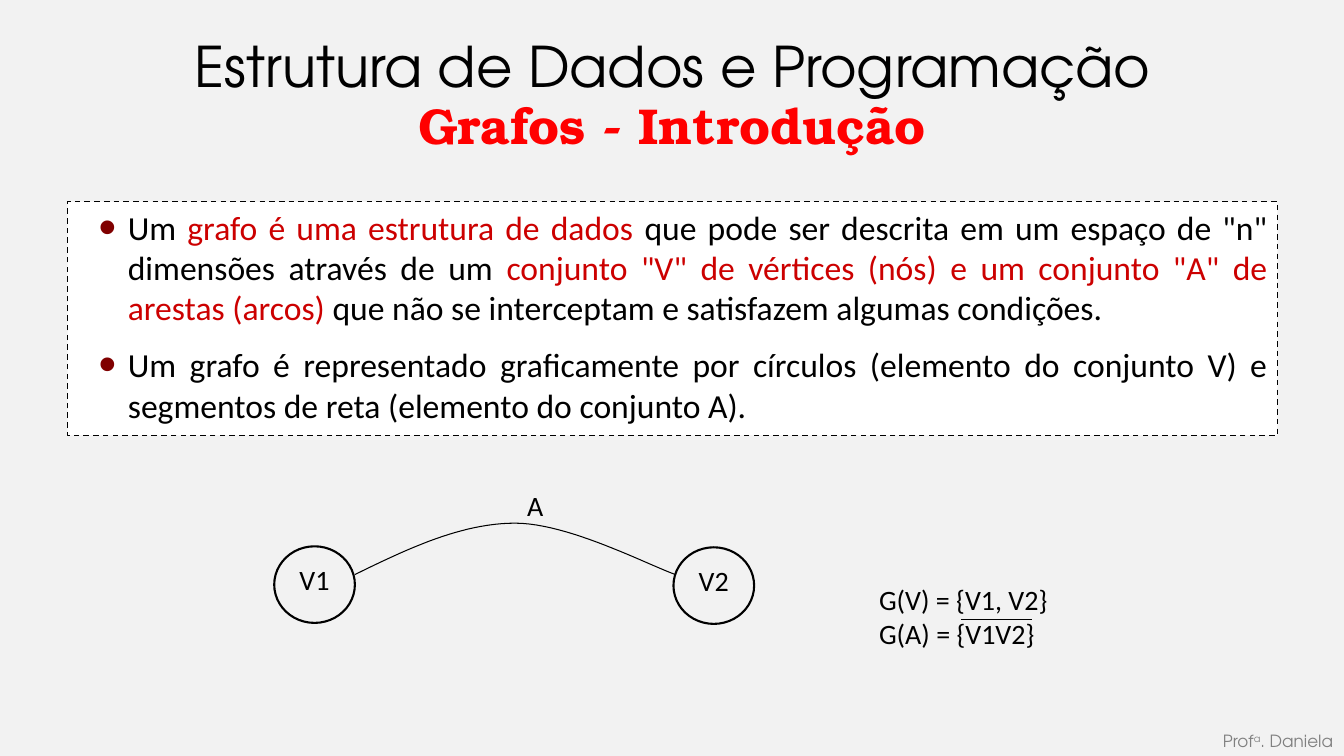
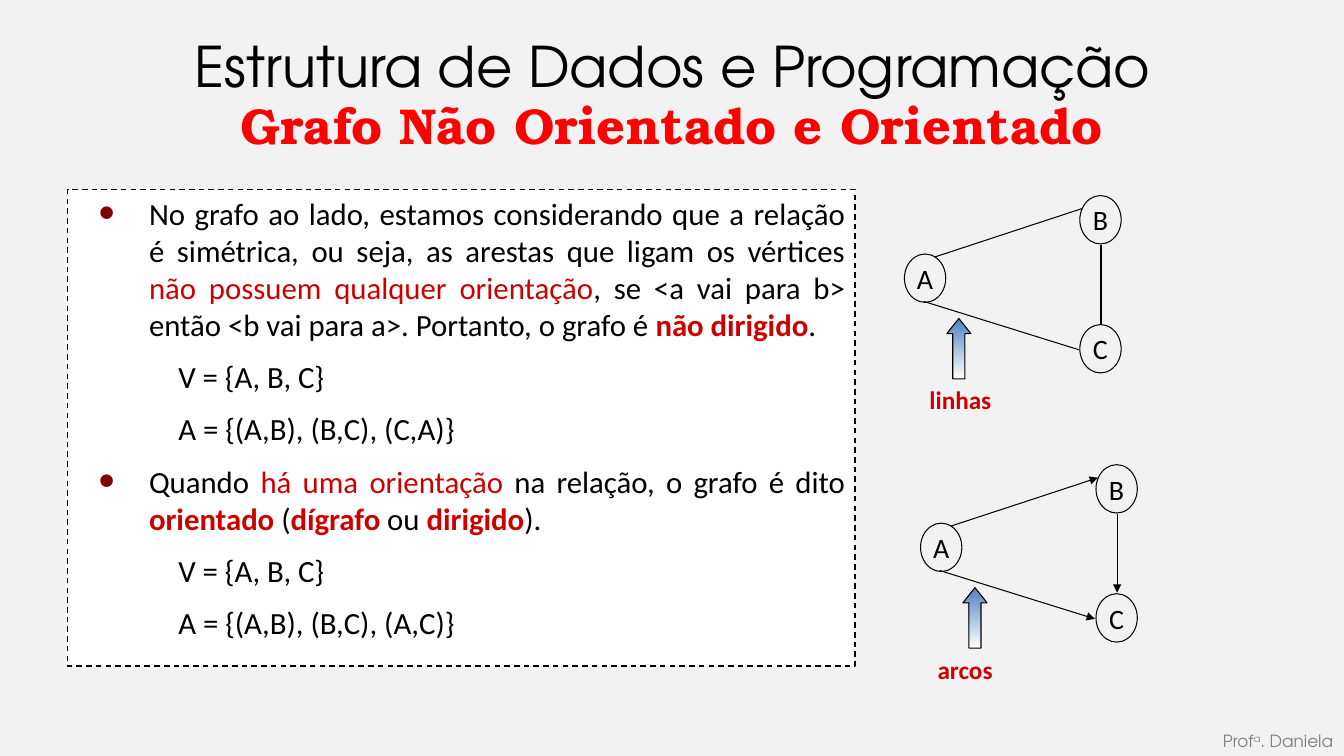
import pptx
import pptx.util
import pptx.dml.color
import pptx.enum.dml
import pptx.enum.shapes
import pptx.enum.text
import pptx.oxml
import pptx.oxml.ns
import lxml.etree

Inches, Pt = pptx.util.Inches, pptx.util.Pt
SHAPE = pptx.enum.shapes.MSO_SHAPE
ALIGN = pptx.enum.text.PP_ALIGN
ANCHOR = pptx.enum.text.MSO_ANCHOR

COLORS = {
    "black": "000000", "white": "FFFFFF", "back": "F2F2F2", "red": "FF0000",
    "accent": "CC0000", "bullet": "800000", "grey": "808080", "arrow": "4F81BD",
}
FONTS = {"body": "Calibri", "title": "TeX Gyre Adventor", "subtitle": "TeX Gyre Bonum"}

# Run formats, named after their role
BODY = {"name": FONTS["body"], "size": Pt(20), "color": "black"}
FORMATS = {
    "body": BODY,
    "accent": {**BODY, "color": "accent"},
    "strong": {**BODY, "color": "accent", "bold": True},
    "title": {"name": FONTS["title"], "size": Pt(40), "color": "black"},
    "subtitle": {"name": FONTS["subtitle"], "size": Pt(36), "color": "red", "bold": True},
    "footer": {"name": FONTS["title"], "size": Pt(12), "color": "grey"},
}
FORMATS["raised"] = {**FORMATS["footer"], "baseline": "30000"}


def rgb(name):
    """Return the named colour."""
    return pptx.dml.color.RGBColor.from_string(COLORS[name])


def add_xml(parent, tag, **attrs):
    """Append a drawing element with the given attributes."""
    el = lxml.etree.SubElement(parent, pptx.oxml.ns.qn(tag))
    for key, value in attrs.items():
        el.set(key, str(value))
    return el


class Deck:
    """Holds the presentation, its style and the current slide."""

    def __init__(self):
        """Start a wide presentation with a plain background."""
        self.prs = pptx.Presentation()
        self.prs.slide_width, self.prs.slide_height = Inches(13.33), Inches(7.5)
        fill = self.prs.slide_master.background.fill
        fill.solid()
        fill.fore_color.rgb = rgb("back")
        self.slide = None

    def new_slide(self, subtitle):
        """Add a slide with the shared title, its subtitle and the footer."""
        self.slide = self.prs.slides.add_slide(self.prs.slide_layouts[6])
        heading = {"align": ALIGN.CENTER, "anchor": ANCHOR.MIDDLE}
        self.text((0.67, 0.02, 12, 1.25),
                  [[("Estrutura de Dados e Programação", "title")]], **heading)
        self.text((0.26, 0.92, 12.81, 0.63), [[(subtitle, "subtitle")]], **heading)
        self.text((9.75, 7.2, 3.57, 0.3),
                  [[("Prof", "footer"), ("a", "raised"), (". Daniela", "footer")]],
                  align=ALIGN.RIGHT)

    def runs(self, p, runs, size=None):
        """Fill a paragraph with (text, format name) runs."""
        for text, kind in runs:
            r = p.add_run()
            r.text = text
            for key, value in FORMATS[kind].items():
                if key == "color":
                    r.font.color.rgb = rgb(value)
                elif key == "baseline":
                    r._r.get_or_add_rPr().set(key, value)
                else:
                    setattr(r.font, key, value)
            if size:
                r.font.size = Pt(size)

    def paragraphs(self, sp, rows, align=ALIGN.LEFT, anchor=ANCHOR.TOP, wrap=True, size=None):
        """Put one paragraph per row of runs into a shape and return them."""
        tf = sp.text_frame
        tf.word_wrap, tf.vertical_anchor = wrap, anchor
        for i, runs in enumerate(rows):
            p = tf.paragraphs[0] if i == 0 else tf.add_paragraph()
            p.alignment = align
            self.runs(p, runs, size)
        return tf.paragraphs

    def text(self, box, rows, **layout):
        """Add a text box."""
        sp = self.slide.shapes.add_textbox(*map(Inches, box))
        self.paragraphs(sp, rows, **layout)

    def outline(self, sp, weight=0.75):
        """Give a shape a black line and no shadow."""
        sp.shadow.inherit = False
        sp.line.color.rgb = rgb("black")
        sp.line.width = Pt(weight)

    def shape(self, kind, box, weight=0.75):
        """Add an outlined, unfilled preset shape."""
        sp = self.slide.shapes.add_shape(kind, *map(Inches, box))
        sp.fill.background()
        self.outline(sp, weight)
        return sp

    def panel(self, box, items, size, hang):
        """Add a dashed white box of (level, runs) items, bulleted at level 1."""
        sp = self.shape(SHAPE.RECTANGLE, box, 1)
        sp.fill.solid()
        sp.fill.fore_color.rgb = rgb("white")
        sp.line.dash_style = pptx.enum.dml.MSO_LINE.DASH
        rows = self.paragraphs(sp, [runs for _, runs in items], ALIGN.JUSTIFY, size=size)
        for i, (p, (level, _)) in enumerate(zip(rows, items)):
            if i:
                p.space_before = Pt(size / 2)
            pPr = p._p.get_or_add_pPr()
            left, indent = (0.21 + hang, -hang) if level == 1 else (1, 0)
            pPr.set("marL", str(Inches(left)))
            pPr.set("indent", str(Inches(indent)))
            if level == 1:
                add_xml(add_xml(pPr, "a:buClr"), "a:srgbClr", val=COLORS["bullet"])
                add_xml(pPr, "a:buSzPct", val=150000)
                add_xml(pPr, "a:buFont", typeface="Arial")
                add_xml(pPr, "a:buChar", char="•")

    def node(self, label, box, weight=0.75, **layout):
        """Add a labelled vertex."""
        sp = self.shape(SHAPE.OVAL, box, weight)
        self.paragraphs(sp, [[(label, "body")]], ALIGN.CENTER, **layout)

    def line(self, start, end, arrow=False):
        """Add a straight line, with an arrowhead at its end if asked."""
        sp = self.slide.shapes.add_connector(
            pptx.enum.shapes.MSO_CONNECTOR.STRAIGHT, *map(Inches, start + end))
        sp.line.color.rgb = rgb("black")
        sp.line.width = Pt(0.75)
        if arrow:
            add_xml(sp.line._get_or_add_ln(), "a:tailEnd", type="triangle")
        add_xml(sp._element.spPr, "a:effectLst")

    def curve(self, *segments, steps=24):
        """Draw a smooth open outline through cubic segments of four points."""
        points = []
        for a, b, c, d in segments:
            for i in range(steps + 1):
                t = i / steps
                u = 1 - t
                points.append(tuple(
                    Inches(u**3 * a[k] + 3 * u * u * t * b[k] + 3 * u * t * t * c[k] + t**3 * d[k])
                    for k in (0, 1)))
        builder = self.slide.shapes.build_freeform(*points[0])
        builder.add_line_segments(points[1:], close=False)
        sp = builder.convert_to_shape()
        sp.fill.background()
        self.outline(sp)

    def pointer(self, box):
        """Add an upward arrow fading from blue to white."""
        sp = self.shape(SHAPE.UP_ARROW, box)
        sp.adjustments[0], sp.adjustments[1] = 0.5, 0.63
        sp.fill.gradient()
        sp.fill.gradient_angle = 270
        for stop, name, position in zip(sp.fill.gradient_stops, ("arrow", "white"), (0, 1)):
            stop.color.rgb = rgb(name)
            stop.position = position

    def triangle_graph(self, dx, dy, caption, caption_box, directed=False):
        """Draw the graph A, B, C moved by (dx, dy), with a captioned pointer."""
        edges = [((9.16, 2.99), (10.7, 3.47)), ((9.27, 2.55), (10.73, 2.07)),
                 ((10.92, 2.43), (10.92, 3.21))]
        for (x1, y1), (x2, y2) in edges:
            self.line((x1 + dx, y1 + dy), (x2 + dx, y2 + dy), directed)
        for label, x, y in (("A", 8.97, 2.52), ("B", 10.71, 1.94), ("C", 10.71, 3.22)):
            self.node(label, (x + dx, y + dy, 0.41, 0.48), anchor=ANCHOR.MIDDLE, wrap=False)
        self.pointer((9.39 + dx, 3.16 + dy, 0.24, 0.6))
        self.text(caption_box, [[(caption, "strong")]], wrap=False, size=18)


def introduction(deck):
    """Build the slide that defines a graph."""
    deck.new_slide("Grafos - Introdução")
    deck.panel((0.67, 2, 12, 2.32), [
        (1, [("Um ", "body"), ("grafo é uma estrutura de dados", "accent"),
             (' que pode ser descrita em um espaço de "n" dimensões através de um ', "body"),
             ('conjunto "V" de vértices (nós) e um conjunto "A" de arestas (arcos) ', "accent"),
             ("que não se interceptam e satisfazem algumas condições.", "body")]),
        (1, [("Um grafo é representado graficamente por círculos (elemento do conjunto V) "
              "e segmentos de reta (elemento do conjunto A).", "body")]),
    ], size=24, hang=0.29)
    deck.node("V1", (2.72, 5.42, 0.8, 0.76), 1.5)
    deck.node("V2", (6.68, 5.43, 0.8, 0.76), 1.5)
    top = (5.11, 5.19)
    deck.curve(((3.52, 5.7), (4.05, 5.44), (4.58, 5.19), top),
               (top, (5.64, 5.19), (6.44, 5.61), (6.7, 5.7)))
    deck.text((4.91, 4.8, 0.8, 0.44), [[("A", "body")]], align=ALIGN.CENTER)
    deck.text((8.62, 5.73, 1.89, 0.77),
              [[("G(V) = {V1, V2}", "body")], [("G(A) = {V1V2}", "body")]], wrap=False)
    deck.line((9.53, 6.15), (10.24, 6.15))


def orientation(deck):
    """Build the slide that compares undirected and directed graphs."""
    deck.new_slide("Grafo Não Orientado e Orientado")
    vertices = (2, [("V = {A, B, C}", "body")])
    deck.panel((0.67, 1.88, 7.81, 4.73), [
        (1, [("No grafo ao lado, estamos considerando que a relação é simétrica, ou seja, "
              "as arestas que ligam os vértices ", "body"),
             ("não possuem qualquer orientação", "accent"),
             (", se <a vai para b> então <b vai para a>. Portanto, o grafo é ", "body"),
             ("não dirigido", "strong"), (".", "body")]),
        vertices,
        (2, [("A = {(A,B), (B,C), (C,A)}", "body")]),
        (1, [("Quando ", "body"), ("há uma orientação ", "accent"),
             ("na relação, o grafo é dito ", "body"), ("orientado", "strong"),
             (" (", "body"), ("dígrafo", "strong"), (" ou ", "body"),
             ("dirigido", "strong"), (").", "body")]),
        vertices,
        (2, [("A = {(A,B), (B,C), (A,C)}", "body")]),
    ], size=22, hang=0.5)
    deck.triangle_graph(0, 0, "linhas", (9.12, 3.76, 0.82, 0.4))
    deck.triangle_graph(0.16, 2.67, "arcos", (9.2, 6.44, 0.75, 0.4), directed=True)


deck = Deck()
introduction(deck)
orientation(deck)
deck.prs.save("out.pptx")
